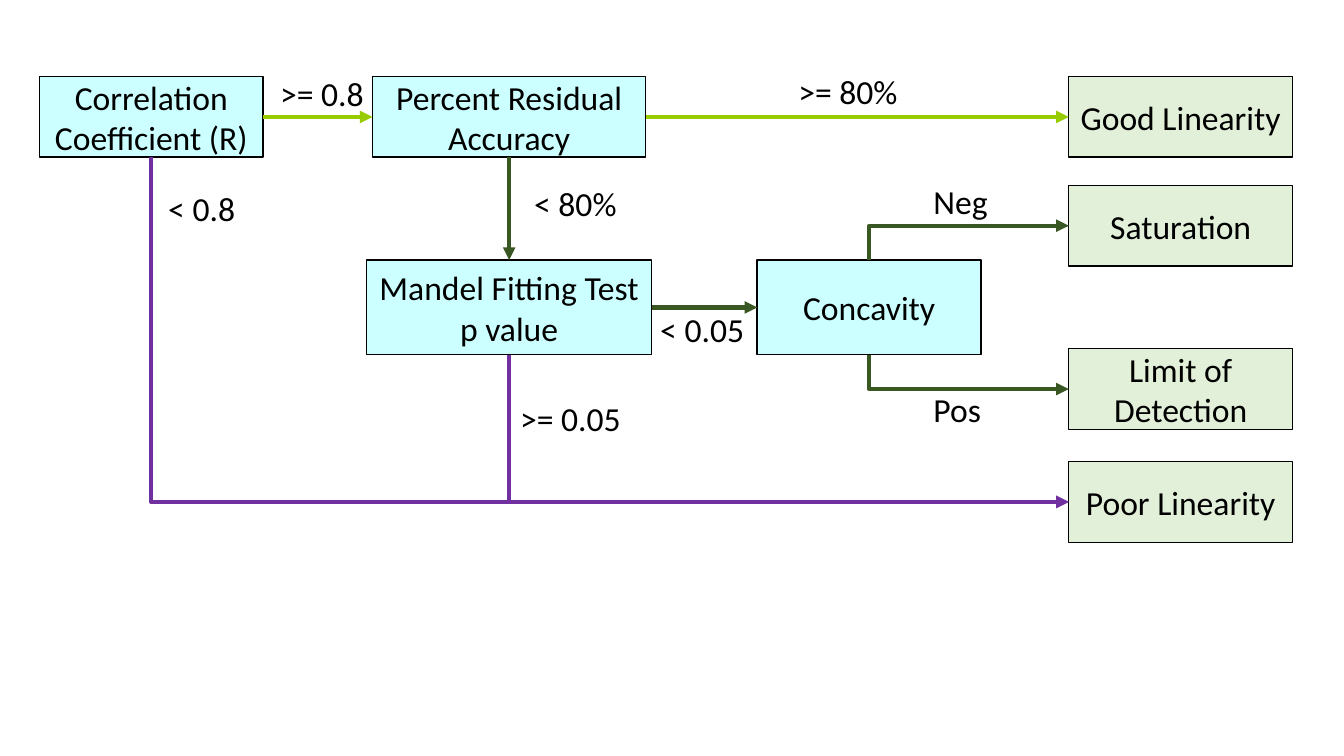
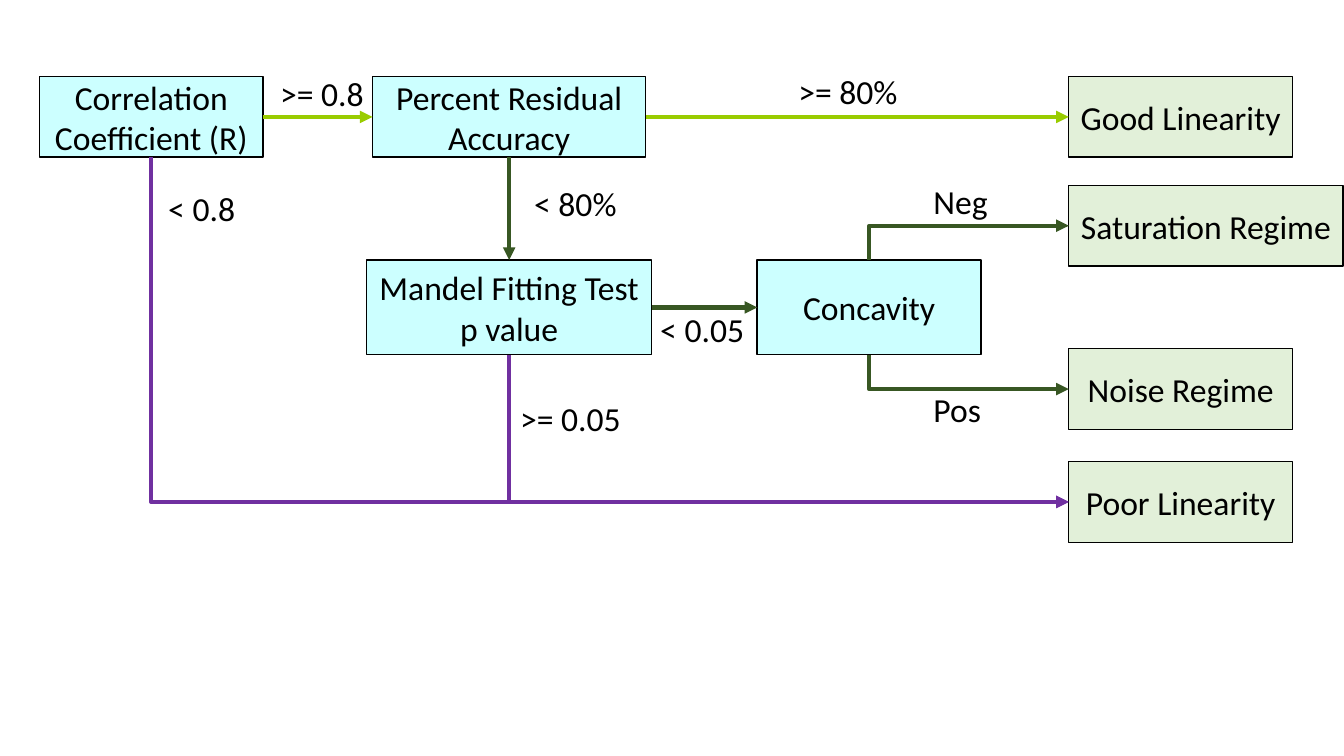
from lxml import etree
from pptx import Presentation
from pptx import util as u
from pptx.dml.color import RGBColor
from pptx.enum import shapes, text
from pptx.oxml import ns

BLACK = RGBColor(0x00, 0x00, 0x00)
STEP_FILL = RGBColor(0xCC, 0xFF, 0xFF)
RESULT_FILL = RGBColor(0xE2, 0xF0, 0xD9)
LIME = RGBColor(0x99, 0xCC, 0x00)
FOREST = RGBColor(0x38, 0x57, 0x23)
PURPLE = RGBColor(0x70, 0x30, 0xA0)

# Grid in inches: step columns and all rows by centre, results by left edge
COLUMNS = [1.5, 5.05, 8.62]
RESULT_LEFT = 10.6
GOOD_ROW, SATURATION_ROW, TEST_ROW, LIMIT_ROW, POOR_ROW = 1.16, 2.24, 3.05, 3.86, 4.98
BOX_WIDTH, BOX_HEIGHT, TEST_HEIGHT = 2.22, 0.8, 0.94
TOP, LEFT, BOTTOM, RIGHT = range(4)

# Steps: key, text, column, row, width, height
STEPS = [
    ("correlation", "Correlation Coefficient (R)", 0, GOOD_ROW, BOX_WIDTH, BOX_HEIGHT),
    ("residual", "Percent Residual Accuracy", 1, GOOD_ROW, 2.71, BOX_HEIGHT),
    ("mandel", "Mandel Fitting Test\np value", 1, TEST_ROW, 2.83, TEST_HEIGHT),
    ("concavity", "Concavity", 2, TEST_ROW, BOX_WIDTH, TEST_HEIGHT),
]
# Results of each slide: key, text, row, width
GOOD = ("good", "Good Linearity", GOOD_ROW, BOX_WIDTH)
POOR = ("poor", "Poor Linearity", POOR_ROW, BOX_WIDTH)
SLIDES = [
    [GOOD, ("saturation", "Saturation", SATURATION_ROW, BOX_WIDTH),
     ("limit", "Limit of Detection", LIMIT_ROW, BOX_WIDTH), POOR],
    [GOOD, ("saturation", "Saturation Regime", SATURATION_ROW, 2.72),
     ("limit", "Noise Regime", LIMIT_ROW, BOX_WIDTH), POOR],
]
# Arrows: from box, side, to box, side, colour
ARROWS = [
    ("correlation", RIGHT, "residual", LEFT, LIME),
    ("residual", RIGHT, "good", LEFT, LIME),
    ("residual", BOTTOM, "mandel", TOP, FOREST),
    ("mandel", RIGHT, "concavity", LEFT, FOREST),
    ("mandel", BOTTOM, "poor", LEFT, PURPLE),
    ("correlation", BOTTOM, "poor", LEFT, PURPLE),
    ("concavity", TOP, "saturation", LEFT, FOREST),
    ("concavity", BOTTOM, "limit", LEFT, FOREST),
]
# Conditions: text, left, top, width
CONDITIONS = [
    (">= 0.8", 2.68, 0.67, 1.13), ("< 0.8", 1.57, 1.82, 1.02),
    (">= 80%", 7.82, 0.65, 1.28), ("< 80%", 5.2, 1.77, 1.1),
    ("< 0.05", 6.45, 3.02, 1.1), (">= 0.05", 5.06, 3.9, 1.34),
    ("Neg", 9.16, 1.75, 0.79), ("Pos", 9.16, 3.81, 0.77),
]


def add_text(slide, words, left, top, width, height, fill=None,
             align=text.PP_ALIGN.LEFT, anchor=text.MSO_ANCHOR.TOP):
    """Put text on the slide, in a bordered box when a fill is given."""
    place = [u.Inches(length) for length in (left, top, width, height)]
    if fill is None:
        item = slide.shapes.add_textbox(*place)
    else:
        item = slide.shapes.add_shape(shapes.MSO_SHAPE.RECTANGLE, *place)
        item.shadow.inherit = False
        item.fill.solid()
        item.fill.fore_color.rgb = fill
        item.line.color.rgb = BLACK
        item.line.width = u.Pt(1)
    frame = item.text_frame
    frame.word_wrap = True
    frame.vertical_anchor = anchor
    frame.text = words
    for paragraph in frame.paragraphs:
        paragraph.alignment = align
        font = paragraph.runs[0].font
        font.name, font.size, font.color.rgb = "Calibri", u.Pt(24), BLACK
    return item


def add_arrow(slide, start, start_side, end, end_side, color):
    """Join two boxes, straight or with one bend (vertical first)."""
    bent = start_side in (TOP, BOTTOM) and end_side == LEFT
    kind = shapes.MSO_CONNECTOR.ELBOW if bent else shapes.MSO_CONNECTOR.STRAIGHT
    arrow = slide.shapes.add_connector(kind, 0, 0, 0, 0)
    arrow.begin_connect(start, start_side)
    arrow.end_connect(end, end_side)
    arrow.line.color.rgb = color
    arrow.line.width = u.Pt(3)
    props = arrow._element.spPr
    etree.SubElement(props.find(ns.qn("a:ln")), ns.qn("a:tailEnd"), type="triangle")
    etree.SubElement(props, ns.qn("a:effectLst"))
    if bent:
        # A one-bend connector runs sideways first, so turn it about its centre
        x, y, w, h = arrow.left, arrow.top, arrow.width, arrow.height
        arrow.left, arrow.top = x + (w - h) // 2, y + (h - w) // 2
        arrow.width, arrow.height = h, w
        upward = start_side == TOP
        props.find(ns.qn("a:prstGeom")).set("prst", "bentConnector2")
        turn = props.find(ns.qn("a:xfrm"))
        turn.set("rot", str((90 if upward else 270) * 60000))
        turn.set("flipH", "1")
        turn.set("flipV", "1" if upward else "0")


deck = Presentation()
deck.slide_width, deck.slide_height = u.Inches(13.33), u.Inches(7.5)
centred = {"align": text.PP_ALIGN.CENTER, "anchor": text.MSO_ANCHOR.MIDDLE}

for results in SLIDES:
    slide = deck.slides.add_slide(deck.slide_layouts[6])
    boxes = {}

    # Decision steps
    for key, words, column, row, width, height in STEPS:
        boxes[key] = add_text(slide, words, COLUMNS[column] - width / 2, row - height / 2,
                              width, height, fill=STEP_FILL, **centred)

    # Results
    for key, words, row, width in results:
        boxes[key] = add_text(slide, words, RESULT_LEFT, row - BOX_HEIGHT / 2,
                              width, BOX_HEIGHT, fill=RESULT_FILL, **centred)

    # Arrows and their conditions
    for start, start_side, end, end_side, color in ARROWS:
        add_arrow(slide, boxes[start], start_side, boxes[end], end_side, color)
    for words, left, top, width in CONDITIONS:
        add_text(slide, words, left, top, width, 0.5)

deck.save("out.pptx")
